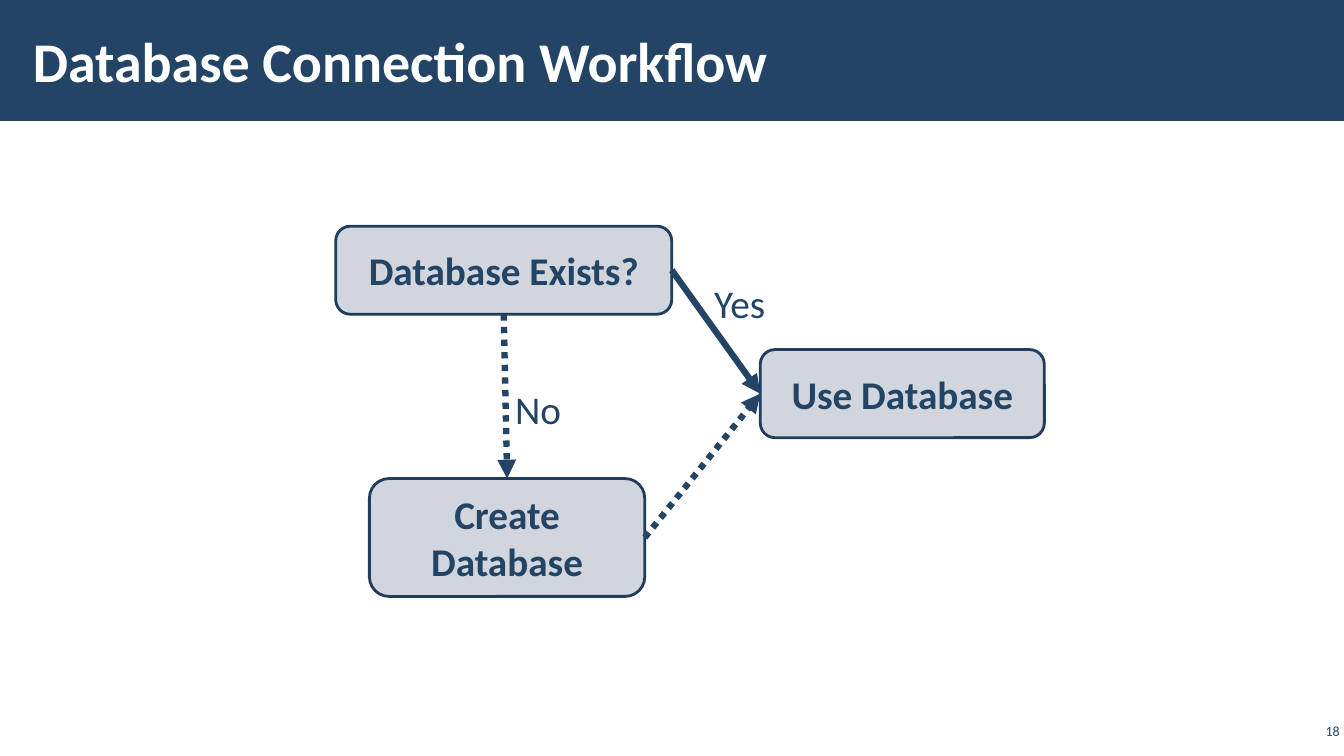
from dataclasses import dataclass

from lxml.etree import SubElement
from pptx import Presentation
from pptx.dml.color import RGBColor
from pptx.enum.dml import MSO_LINE
from pptx.enum.shapes import MSO_CONNECTOR, MSO_SHAPE
from pptx.enum.text import MSO_ANCHOR, PP_ALIGN
from pptx.oxml.ns import qn
from pptx.util import Cm, Pt

# Content: positions and sizes in cm (left, top, width, height)
TITLE = ("Database Connection Workflow", (0.53, 0.28, 26.42, 2.46))
PAGE_NUMBER = ("18", (32.66, 18.14, 1.2, 0.56))
STEPS = {
    "exists": ("Database Exists?", (8.46, 5.7, 8.47, 2.22)),
    "create": ("Create Database", (9.31, 12.06, 6.94, 2.97)),
    "use": ("Use Database", (19.16, 8.81, 7.16, 2.22)),
}
# From step and side, to step and side, dotted
ARROWS = [
    ("exists", "bottom", "create", "top", True),
    ("exists", "right", "use", "left", False),
    ("create", "right", "use", "left", True),
]
ANSWERS = [
    ("No", (12.73, 9.58, 1.68, 1.45)),
    ("Yes", (17.75, 6.91, 1.8, 1.45)),
]
SIDES = ["top", "left", "bottom", "right"]  # order of connection sites
PAGE_WIDTH, PAGE_HEIGHT, BANNER_HEIGHT = 33.87, 19.05, 3.05


@dataclass(frozen=True)
class Theme:
    font: str = "Calibri"
    navy: RGBColor = RGBColor.from_string("234465")
    outline: RGBColor = RGBColor.from_string("203D5B")
    box: RGBColor = RGBColor.from_string("D1D5DD")
    white: RGBColor = RGBColor.from_string("FFFFFF")
    title_size: Pt = Pt(40)
    body_size: Pt = Pt(28)
    number_size: Pt = Pt(10)
    box_line: Pt = Pt(2)
    arrow_line: Pt = Pt(4.5)


theme = Theme()


def write(shape, text, size, color, bold=False, align=PP_ALIGN.LEFT,
          anchor=MSO_ANCHOR.MIDDLE, wrap=True, margins=(0.25, 0.13)):
    frame = shape.text_frame
    frame.word_wrap = wrap
    frame.vertical_anchor = anchor
    frame.margin_left = frame.margin_right = Cm(margins[0])
    frame.margin_top = frame.margin_bottom = Cm(margins[1])
    para = frame.paragraphs[0]
    para.alignment = align
    span = para.add_run()
    span.text = text
    span.font.name, span.font.size = theme.font, size
    span.font.color.rgb, span.font.bold = color, bold


def add_block(page, kind, area, fill):
    block = page.shapes.add_shape(kind, *map(Cm, area))
    block.shadow.inherit = False
    block.fill.solid()
    block.fill.fore_color.rgb = fill
    return block


def add_text(page, text, area, size, color, **style):
    box = page.shapes.add_textbox(*map(Cm, area))
    write(box, text, size, color, **style)


def add_step(page, text, area):
    box = add_block(page, MSO_SHAPE.ROUNDED_RECTANGLE, area, theme.box)
    box.line.color.rgb = theme.outline
    box.line.width = theme.box_line
    write(box, text, theme.body_size, theme.navy, bold=True, align=PP_ALIGN.CENTER)
    return box


def add_arrow(page, start, start_side, end, end_side, dotted):
    arrow = page.shapes.add_connector(MSO_CONNECTOR.STRAIGHT, 0, 0, 0, 0)
    arrow.begin_connect(start, SIDES.index(start_side))
    arrow.end_connect(end, SIDES.index(end_side))
    arrow.line.color.rgb = theme.navy
    arrow.line.width = theme.arrow_line
    if dotted:
        arrow.line.dash_style = MSO_LINE.ROUND_DOT  # stored as sysDot
    SubElement(arrow.line._get_or_add_ln(), qn("a:tailEnd"), type="triangle")
    SubElement(arrow._element.spPr, qn("a:effectLst"))


def main():
    deck = Presentation()
    deck.slide_width, deck.slide_height = Cm(PAGE_WIDTH), Cm(PAGE_HEIGHT)
    page = deck.slides.add_slide(deck.slide_layouts[6])

    # Banner, title and page number
    banner = add_block(page, MSO_SHAPE.RECTANGLE,
                       (0, 0, PAGE_WIDTH, BANNER_HEIGHT), theme.navy)
    banner.line.fill.background()
    add_text(page, *TITLE, theme.title_size, theme.white, bold=True,
             margins=(0.3, 0.1))
    add_text(page, *PAGE_NUMBER, theme.number_size, theme.navy,
             align=PP_ALIGN.RIGHT, margins=(0.1, 0.1))

    # Workflow steps and the arrows glued to them
    boxes = {name: add_step(page, *step) for name, step in STEPS.items()}
    for start, start_side, end, end_side, dotted in ARROWS:
        add_arrow(page, boxes[start], start_side, boxes[end], end_side, dotted)

    # Answers beside the arrows
    for text, area in ANSWERS:
        add_text(page, text, area, theme.body_size, theme.navy,
                 anchor=MSO_ANCHOR.TOP, wrap=False)

    deck.save("out.pptx")


if __name__ == "__main__":
    main()
